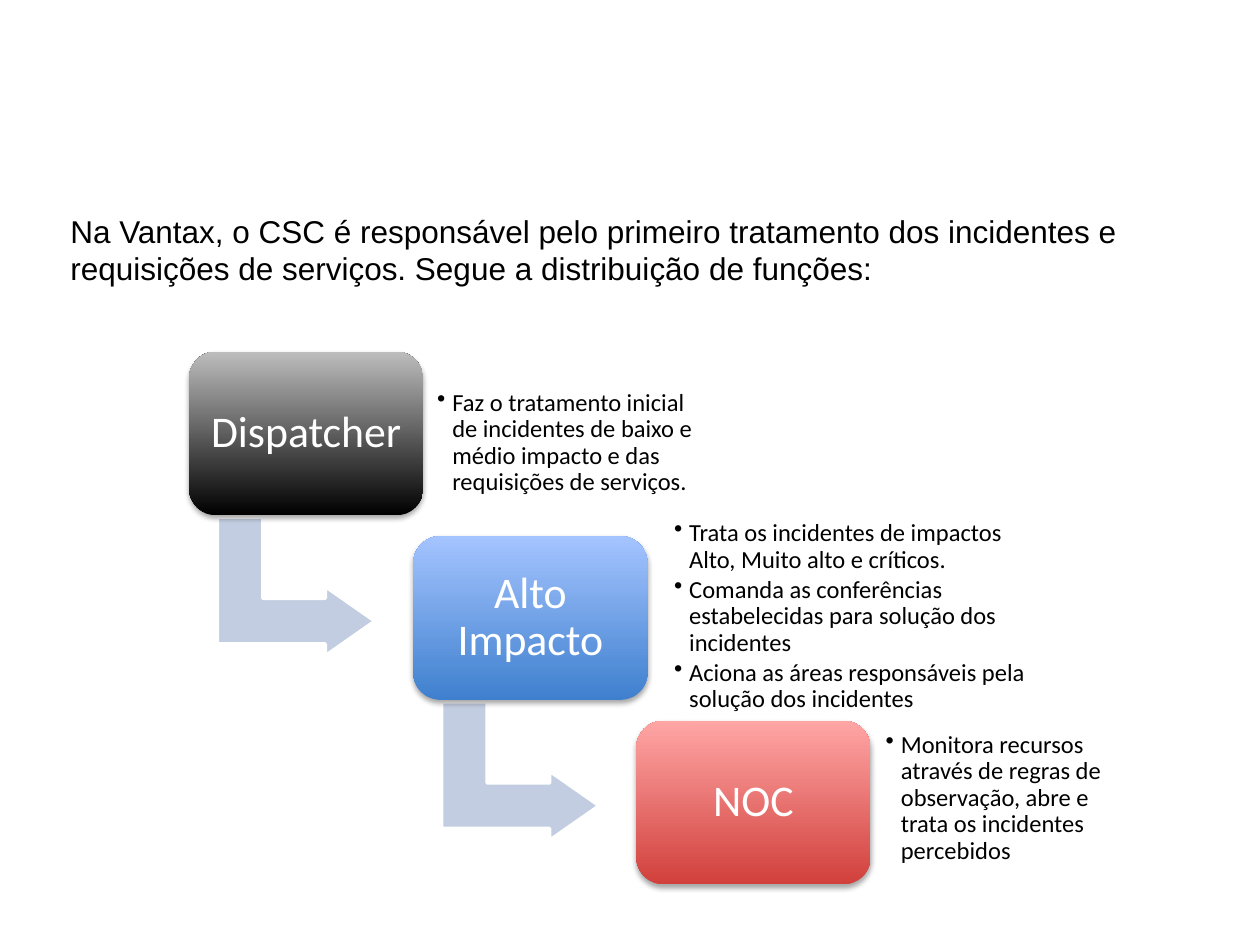
from lxml import etree
from pptx import Presentation
from pptx.dml.color import RGBColor
from pptx.enum.shapes import MSO_SHAPE
from pptx.enum.text import MSO_ANCHOR, MSO_AUTO_SIZE, PP_ALIGN
from pptx.oxml import parse_xml
from pptx.oxml.ns import nsdecls, qn
from pptx.util import Inches, Pt

ROUNDED = MSO_SHAPE.ROUNDED_RECTANGLE
BENT_ARROW = MSO_SHAPE.BENT_UP_ARROW
TOP, MIDDLE = MSO_ANCHOR.TOP, MSO_ANCHOR.MIDDLE
LEFT, CENTER = PP_ALIGN.LEFT, PP_ALIGN.CENTER
FIT_SHAPE = MSO_AUTO_SIZE.SHAPE_TO_FIT_TEXT

BLACK = RGBColor(0x00, 0x00, 0x00)
WHITE = RGBColor(0xFF, 0xFF, 0xFF)
GRAY = RGBColor(0xBD, 0xBD, 0xBD)
BLUE = RGBColor(0x3F, 0x80, 0xCE)
LIGHT_BLUE = RGBColor(0xA4, 0xC4, 0xFF)
RED = RGBColor(0xD1, 0x40, 0x3C)
LIGHT_RED = RGBColor(0xFF, 0xA6, 0xA5)
ARROW_BLUE = RGBColor(0xC2, 0xCD, 0xE1)

SHADOW = (
    f'<a:outerShdw {nsdecls("a")} blurRad="40000" dist="23000" dir="5400000" '
    'rotWithShape="0"><a:srgbClr val="000000"><a:alpha val="35000"/>'
    '</a:srgbClr></a:outerShdw>'
)


def add_text(sp, *lines, size, font="Calibri", color=BLACK, align=LEFT,
             anchor=MIDDLE, inset=None, spacing=None, after=0, bullet=False):
    tf = sp.text_frame
    tf.word_wrap = True
    tf.vertical_anchor = anchor
    if inset is not None:
        tf.margin_left = tf.margin_right = Inches(inset)
        tf.margin_top = tf.margin_bottom = Inches(inset)
    for i, line in enumerate(lines):
        p = tf.paragraphs[0] if i == 0 else tf.add_paragraph()
        if bullet:
            pPr = p._p.get_or_add_pPr()
            pPr.set("marL", str(Inches(0.12)))
            pPr.set("indent", str(-Inches(0.12)))
            etree.SubElement(pPr, qn("a:buChar")).set("char", "•")
        p.alignment = align
        p.line_spacing = spacing
        p.space_after = Pt(after)
        r = p.add_run()
        r.text = line
        r.font.size = Pt(size)
        r.font.name = font
        r.font.color.rgb = color


prs = Presentation()
prs.slide_width, prs.slide_height = Inches(10), Inches(7.5)
s = prs.slides.add_slide(prs.slide_layouts[6])

# Introduction
sp = s.shapes.add_textbox(Inches(0.46), Inches(1.63), Inches(9.04), Inches(0.71))
add_text(sp, "Na Vantax, o CSC é responsável pelo primeiro tratamento dos incidentes "
         "e requisições de serviços. Segue a distribuição de funções:",
         size=18, font="Arial", anchor=TOP)
sp.text_frame.auto_size = FIT_SHAPE

# Steps: name, bottom colour, top colour, notes left, notes width, notes
steps = [
    ("Dispatcher", BLACK, GRAY, 3.41, 2.3, [
        "Faz o tratamento inicial de incidentes de baixo e médio impacto "
        "e das requisições de serviços."]),
    ("Alto Impacto", BLUE, LIGHT_BLUE, 5.29, 3.04, [
        "Trata os incidentes de impactos Alto, Muito alto e críticos.",
        "Comanda as conferências estabelecidas para solução dos incidentes",
        "Aciona as áreas responsáveis pela solução dos incidentes"]),
    ("NOC", RED, LIGHT_RED, 6.97, 1.87, [
        "Monitora recursos através de regras de observação, abre e trata "
        "os incidentes percebidos"]),
]
STEP_LEFTS = [1.5, 3.28, 5.05]
STEP_TOP, STEP_PITCH = 2.79, 1.465
NOTE_TOPS = [2.99, 4.37, 5.81]

for i, (name, dark, light, note_left, note_width, notes) in enumerate(steps):
    left, top = STEP_LEFTS[i], STEP_TOP + i * STEP_PITCH

    # Arrow down to the next step
    if i < len(steps) - 1:
        sp = s.shapes.add_shape(BENT_ARROW, Inches(left + 0.3), Inches(top + 1.24),
                                Inches(1.1), Inches(1.25))
        sp.rotation = 90
        for k, value in enumerate((0.328, 0.25, 0.358)):
            sp.adjustments[k] = value
        sp.fill.solid()
        sp.fill.fore_color.rgb = ARROW_BLUE
        sp.line.color.rgb = WHITE
        sp.line.width = Pt(2)
        sp.shadow.inherit = False

    # Step box
    sp = s.shapes.add_shape(ROUNDED, Inches(left), Inches(top),
                            Inches(1.86), Inches(1.3))
    sp.adjustments[0] = 0.167
    sp.fill.gradient()
    sp.fill.gradient_angle = 90
    for stop, color in zip(sp.fill.gradient_stops, (dark, light)):
        stop.color.rgb = color
    sp.line.fill.background()
    sp.shadow.inherit = False
    sp._element.spPr.find(qn("a:effectLst")).append(parse_xml(SHADOW))
    add_text(sp, name, size=25, color=WHITE, align=CENTER, inset=0.1, spacing=0.9)

    # Step notes
    sp = s.shapes.add_textbox(Inches(note_left), Inches(NOTE_TOPS[i]),
                              Inches(note_width), Inches(1.05))
    add_text(sp, *notes, size=14, inset=0.06, spacing=0.9, after=2.1, bullet=True)

prs.save("out.pptx")
